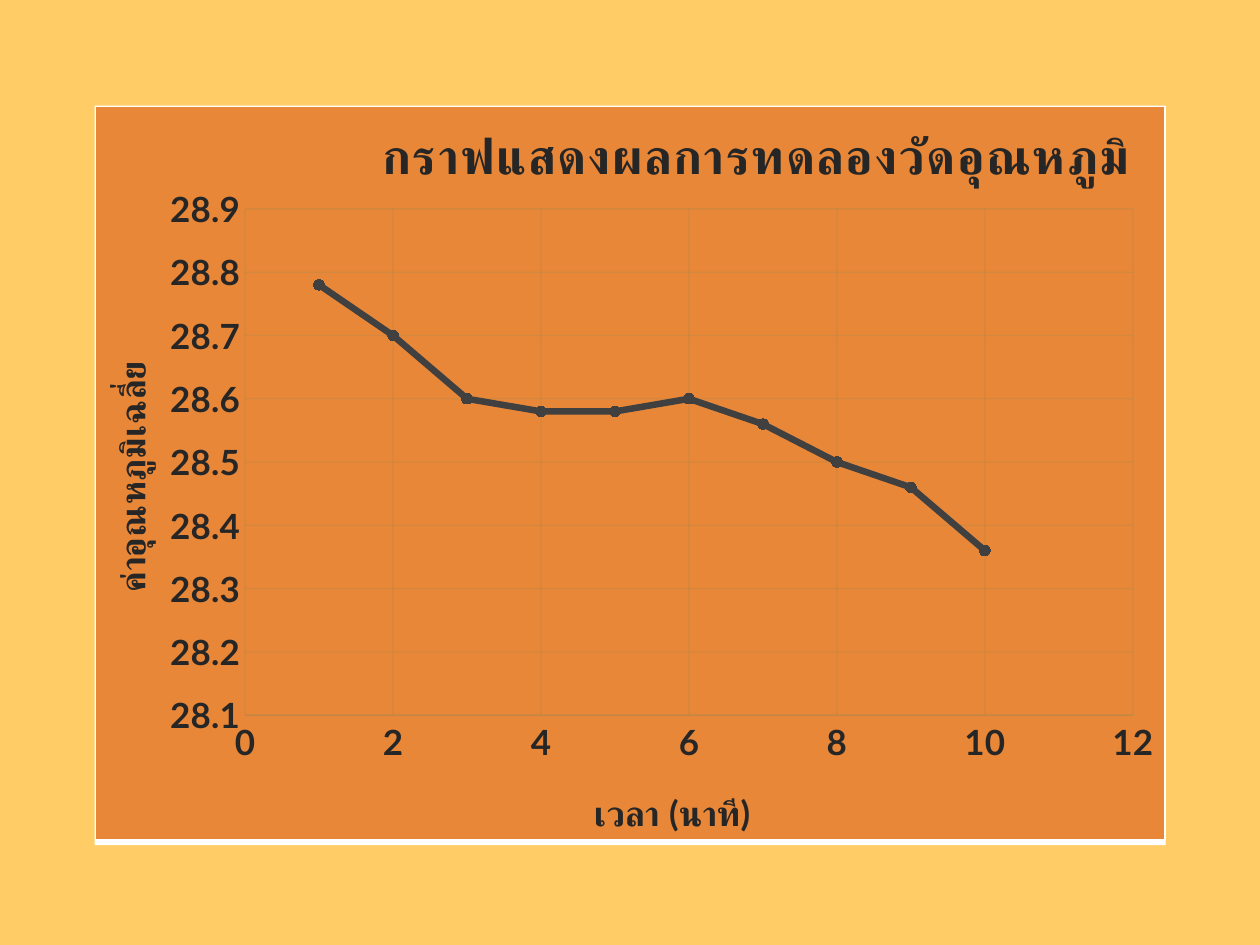
from lxml.etree import SubElement
from pptx import Presentation
from pptx.chart.data import XyChartData
from pptx.dml.color import RGBColor
from pptx.enum.chart import XL_CHART_TYPE, XL_MARKER_STYLE, XL_TICK_MARK
from pptx.enum.shapes import MSO_SHAPE
from pptx.oxml import parse_xml
from pptx.oxml.ns import nsdecls, qn
from pptx.util import Cm, Pt

BACKGROUND = RGBColor(0xFF, 0xCC, 0x66)
WHITE = RGBColor(0xFF, 0xFF, 0xFF)
PANEL = RGBColor(0xE4, 0x6C, 0x0A)
GRID = RGBColor(0x94, 0x8A, 0x54)
SERIES = RGBColor(0x40, 0x40, 0x40)
INK = RGBColor(0x26, 0x26, 0x26)
BLACK = RGBColor(0, 0, 0)
OPACITY = {str(PANEL): 81, str(GRID): 25}

FRAME = (Cm(1.91), Cm(2.13), Cm(21.59), Cm(14.91))
TEMPERATURES = [28.78, 28.7, 28.6, 28.58, 28.58, 28.6, 28.56, 28.5, 28.46, 28.36]


class ChartSlide:
    def __init__(self, deck):
        self.font = "Lato"
        self.slide = deck.slides.add_slide(deck.slide_layouts[6])
        fill = self.slide.background.fill
        fill.solid()
        fill.fore_color.rgb = BACKGROUND

    def style_font(self, font, size):
        font.name = self.font
        font.size = Pt(size)
        font.bold = True
        font.color.rgb = INK

    def style_line(self, line, color, width):
        line.color.rgb = color
        line.width = Pt(width)

    def add_panel(self):
        panel = self.slide.shapes.add_shape(MSO_SHAPE.RECTANGLE, *FRAME)
        panel.shadow.inherit = False
        panel.fill.solid()
        panel.fill.fore_color.rgb = WHITE
        panel.line.fill.background()

    def add_chart(self, values):
        data = XyChartData(number_format="General")
        points = data.add_series("Series 1")
        for minute, value in enumerate(values, 1):
            points.add_data_point(minute, value)
        chart = self.slide.shapes.add_chart(
            XL_CHART_TYPE.XY_SCATTER_LINES, *FRAME, data).chart
        chart.has_legend = False
        chart.font.name = "Calibri"
        chart.font.size = Pt(10)
        chart.font.color.rgb = BLACK
        plot = chart.plots[0]
        plot.vary_by_categories = False
        series = plot.series[0]
        series.smooth = False
        self.style_line(series.format.line, SERIES, 3.75)
        marker = series.marker
        marker.style = XL_MARKER_STYLE.CIRCLE
        marker.size = 6
        marker.format.fill.solid()
        marker.format.fill.fore_color.rgb = SERIES
        self.style_line(marker.format.line, SERIES, 0.75)
        return chart

    def style_axis(self, axis, low, high, step, number_format):
        axis.minimum_scale, axis.maximum_scale, axis.major_unit = low, high, step
        axis.major_tick_mark = axis.minor_tick_mark = XL_TICK_MARK.NONE
        axis.has_major_gridlines = True
        self.style_line(axis.major_gridlines.format.line, GRID, 0.75)
        axis.tick_labels.number_format = number_format
        axis.tick_labels.number_format_is_linked = False
        self.style_font(axis.tick_labels.font, 20)

    def add_title(self, owner, text, size, left, top, spacing=0):
        """Title a chart or an axis, at a fraction of the chart's size."""
        owner.has_title = True
        title = owner.chart_title if hasattr(owner, "chart_title") else owner.axis_title
        para = title.text_frame.paragraphs[0]
        span = para.add_run()
        span.text = text
        self.style_font(para.font, size)
        self.style_font(span.font, size)
        if spacing:
            span.font._element.set("spc", str(spacing))
        element = title._element
        self.place(element, element.index(element.find(qn("c:tx"))) + 1, x=left, y=top)

    def place(self, element, index, **fractions):
        """Give a chart part a manual layout as the child at index."""
        for old in element.findall(qn("c:layout")):
            element.remove(old)
        layout = parse_xml(f"<c:layout {nsdecls('c')}><c:manualLayout/></c:layout>")
        manual = layout[0]
        if "w" in fractions:
            SubElement(manual, qn("c:layoutTarget")).set("val", "inner")
        for side in "xy":
            SubElement(manual, qn(f"c:{side}Mode")).set("val", "edge")
        for side, fraction in fractions.items():
            SubElement(manual, qn(f"c:{side}")).set("val", str(fraction))
        element.insert(index, layout)

    def fill_chart(self, chart):
        """Give the whole chart its fill and border, and fade the pale colours."""
        space = chart._chartSpace
        space.find(qn("c:chart")).addnext(parse_xml(
            f"<c:spPr {nsdecls('c', 'a')}>"
            f'<a:solidFill><a:srgbClr val="{PANEL}"/></a:solidFill>'
            f'<a:ln w="{Pt(0.75)}"><a:solidFill><a:srgbClr val="{WHITE}"/></a:solidFill></a:ln>'
            "</c:spPr>"))
        for color in space.iter(qn("a:srgbClr")):
            if color.get("val") in OPACITY:
                alpha = OPACITY[color.get("val")] * 1000
                SubElement(color, qn("a:alpha")).set("val", str(alpha))


def main():
    deck = Presentation()
    deck.slide_width, deck.slide_height = Cm(25.4), Cm(19.05)
    page = ChartSlide(deck)
    page.add_panel()
    chart = page.add_chart(TEMPERATURES)
    time_axis, heat_axis = chart.category_axis, chart.value_axis
    page.style_axis(time_axis, 0, 12, 2, "0")
    page.style_line(time_axis.format.line, GRID, 1)
    page.style_axis(heat_axis, 28.1, 28.9, 0.1, "0.0")
    heat_axis.format.line.fill.background()
    page.add_title(chart, "กราฟแสดงผลการทดลองวัดอุณหภูมิ", 28, 0.26, 0.02, spacing=100)
    page.add_title(time_axis, "เวลา (นาที)", 20, 0.46, 0.92)
    page.add_title(heat_axis, "ค่าอุณหภูมิเฉลี่ย", 20, 0.01, 0.34)
    plot_area = chart._chartSpace.find(qn("c:chart")).find(qn("c:plotArea"))
    page.place(plot_area, 0, x=0.14, y=0.14, w=0.83, h=0.69)
    page.fill_chart(chart)
    deck.save("out.pptx")


if __name__ == "__main__":
    main()
